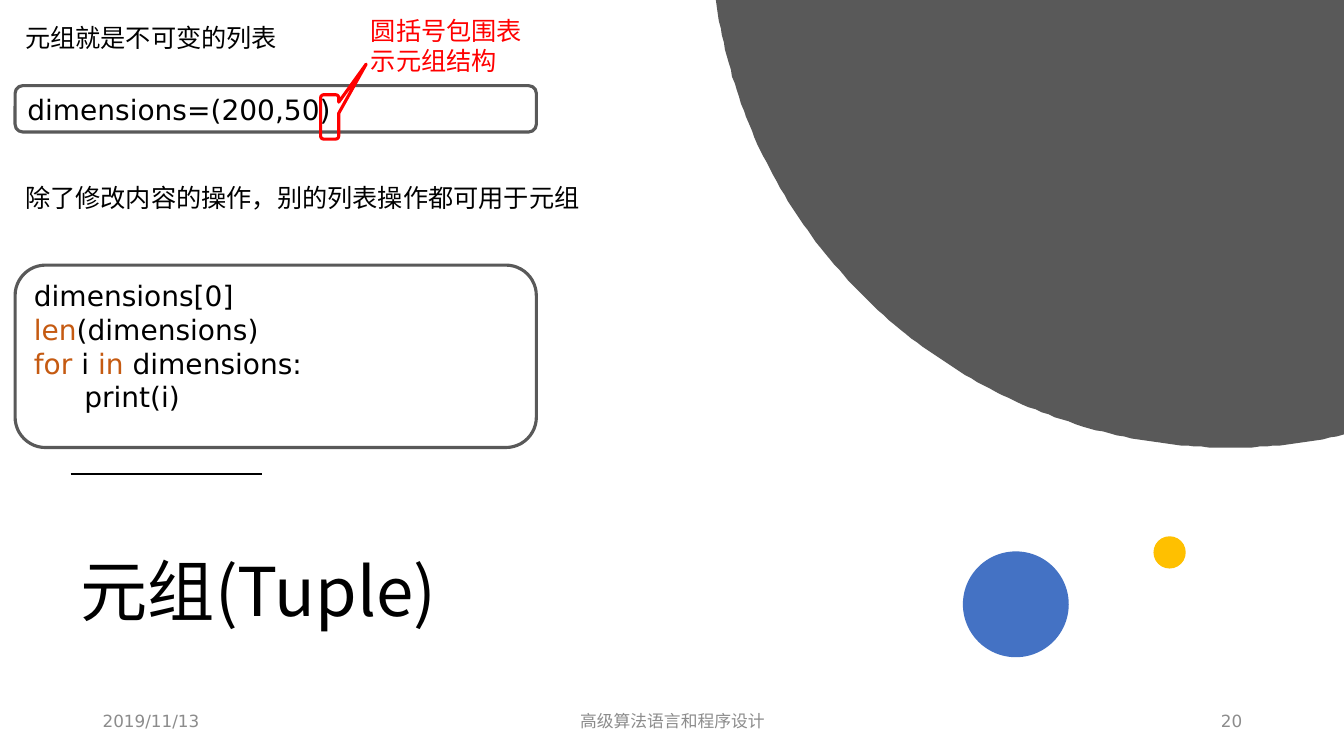
import math

import pptx
import pptx.dml.color
import pptx.enum.shapes
import pptx.enum.text
import pptx.oxml
import pptx.oxml.ns
import pptx.util

EMU_PER_PX = 9144  # 100 px to the inch
SLIDE_W, SLIDE_H = 1333, 750
LATIN, CHINESE = "DejaVu Sans", "Noto Sans CJK SC"
BLACK, WHITE, GRAY, PALE = "000000", "FFFFFF", "595959", "8C8C8C"
BLUE, GOLD, RED, KEYWORD = "4472C4", "FFC000", "FF0000", "C55A11"
SHAPES = pptx.enum.shapes.MSO_SHAPE
ALIGN = pptx.enum.text.PP_ALIGN
ANCHOR = pptx.enum.text.MSO_ANCHOR
FIT = pptx.enum.text.MSO_AUTO_SIZE


def px(*lengths):
    return [pptx.util.Emu(length * EMU_PER_PX) for length in lengths]


def rgb(color):
    return pptx.dml.color.RGBColor.from_string(color)


def write(shape, lines, size=18, font=CHINESE, color=BLACK, align=ALIGN.LEFT,
          anchor=ANCHOR.TOP, wrap=True, fit=FIT.NONE, spacing=None):
    """Fill a shape with lines; each is a string or a list of (text, color) spans."""
    frame = shape.text_frame
    frame.word_wrap, frame.auto_size, frame.vertical_anchor = wrap, fit, anchor
    for index, line in enumerate(lines):
        para = frame.add_paragraph() if index else frame.paragraphs[0]
        para.alignment, para.line_spacing = align, spacing
        for text, span_color in [(line, color)] if isinstance(line, str) else line:
            span = para.add_run()
            span.text = text
            span.font.size = pptx.util.Pt(size)
            span.font.name = font
            span.font.color.rgb = rgb(span_color)
            east_asian = pptx.oxml.ns.qn("a:ea")
            span.font._element.find(pptx.oxml.ns.qn("a:latin")).addnext(
                span.font._element.makeelement(east_asian, {"typeface": CHINESE}))


def paint(shape, fill=None, line=None):
    shape.shadow.inherit = False
    if fill:
        shape.fill.solid()
        shape.fill.fore_color.rgb = rgb(fill)
    else:
        shape.fill.background()
    if line:
        shape.line.color.rgb = rgb(line)
        shape.line.width = pptx.util.Pt(2.25)
    else:
        shape.line.fill.background()


def add_shape(page, kind, place, **colors):
    shape = page.shapes.add_shape(kind, *px(*place))
    paint(shape, **colors)
    return shape


def add_text(page, place, text, **style):
    write(page.shapes.add_textbox(*px(*place)), [text], **style)


def add_code(page, place, lines):
    box = add_shape(page, SHAPES.ROUNDED_RECTANGLE, place, fill=WHITE, line=GRAY)
    write(box, lines, size=20, font=LATIN)


def add_title(page, text):
    title = page.shapes.title
    title.left, title.top, title.width, title.height = px(70, 495, 810, 190)
    write(title, [text], size=48, anchor=ANCHOR.MIDDLE, spacing=0.9)


def add_corner_disc(page, center_x=1220, center_y=-71, radius=515, steps=120):
    """Draw the part of a large disc that lies inside the slide's top right corner."""
    start = math.acos((SLIDE_W - center_x) / radius)
    end = math.pi - math.asin(-center_y / radius)
    angles = [start + (end - start) * step / steps for step in range(steps + 1)]
    arc = [(center_x + radius * math.cos(angle), center_y + radius * math.sin(angle))
           for angle in angles]
    builder = page.shapes.build_freeform(*arc[-1], scale=EMU_PER_PX)
    builder.add_line_segments([(SLIDE_W, 0)] + arc, close=True)
    paint(builder.convert_to_shape(), fill=GRAY)


def add_rule(page, left, right, y):
    rule = page.shapes.add_connector(
        pptx.enum.shapes.MSO_CONNECTOR.STRAIGHT, *px(left, y, right, y))
    rule.line.color.rgb = rgb(BLACK)
    rule.line.width = pptx.util.Pt(1.5)
    properties = rule._element.spPr
    properties.append(properties.makeelement(pptx.oxml.ns.qn("a:effectLst"), {}))


def add_footer(page):
    for left, width, text, align in [
        (92, 300, "2019/11/13", ALIGN.LEFT),
        (442, 450, "高级算法语言和程序设计", ALIGN.CENTER),
        (942, 300, "20", ALIGN.RIGHT),
    ]:
        add_text(page, (left, 695, width, 40), text, size=12, font=LATIN,
                 color=PALE, align=align, anchor=ANCHOR.MIDDLE)


def add_bracket_callout(page):
    callout = add_shape(page, SHAPES.ROUNDED_RECTANGULAR_CALLOUT,
                        (318, 94, 18, 44), line=RED)
    for index, value in enumerate((2.01, -1.19, 0.17)):
        callout.adjustments[index] = value
    add_text(page, (358, 10, 175, 71), "圆括号包围表示元组结构",
             color=RED, fit=FIT.SHAPE_TO_FIT_TEXT)


def main():
    deck = pptx.Presentation()
    deck.slide_width, deck.slide_height = px(SLIDE_W, SLIDE_H)
    page = deck.slides.add_slide(deck.slide_layouts.get_by_name("Title Only"))

    add_title(page, "元组(Tuple)")
    add_corner_disc(page)
    add_rule(page, 70, 260, 470)
    add_shape(page, SHAPES.OVAL, (955, 547, 105, 105), fill=BLUE)
    add_shape(page, SHAPES.OVAL, (1144, 532, 32, 32), fill=GOLD)
    add_footer(page)

    note = {"wrap": False, "fit": FIT.SHAPE_TO_FIT_TEXT}
    add_text(page, (15, 17, 273, 40), "元组就是不可变的列表", **note)
    add_code(page, (15, 85, 517, 46), ["dimensions=(200,50)"])
    add_text(page, (15, 176, 576, 40),
             "除了修改内容的操作，别的列表操作都可用于元组", **note)
    add_code(page, (15, 263, 517, 181), [
        "dimensions[0]",
        [("len", KEYWORD), ("(dimensions)", BLACK)],
        [("for ", KEYWORD), ("i ", BLACK), ("in", KEYWORD), (" dimensions:", BLACK)],
        "\tprint(i)",
    ])
    add_bracket_callout(page)
    deck.save("out.pptx")


if __name__ == "__main__":
    main()
